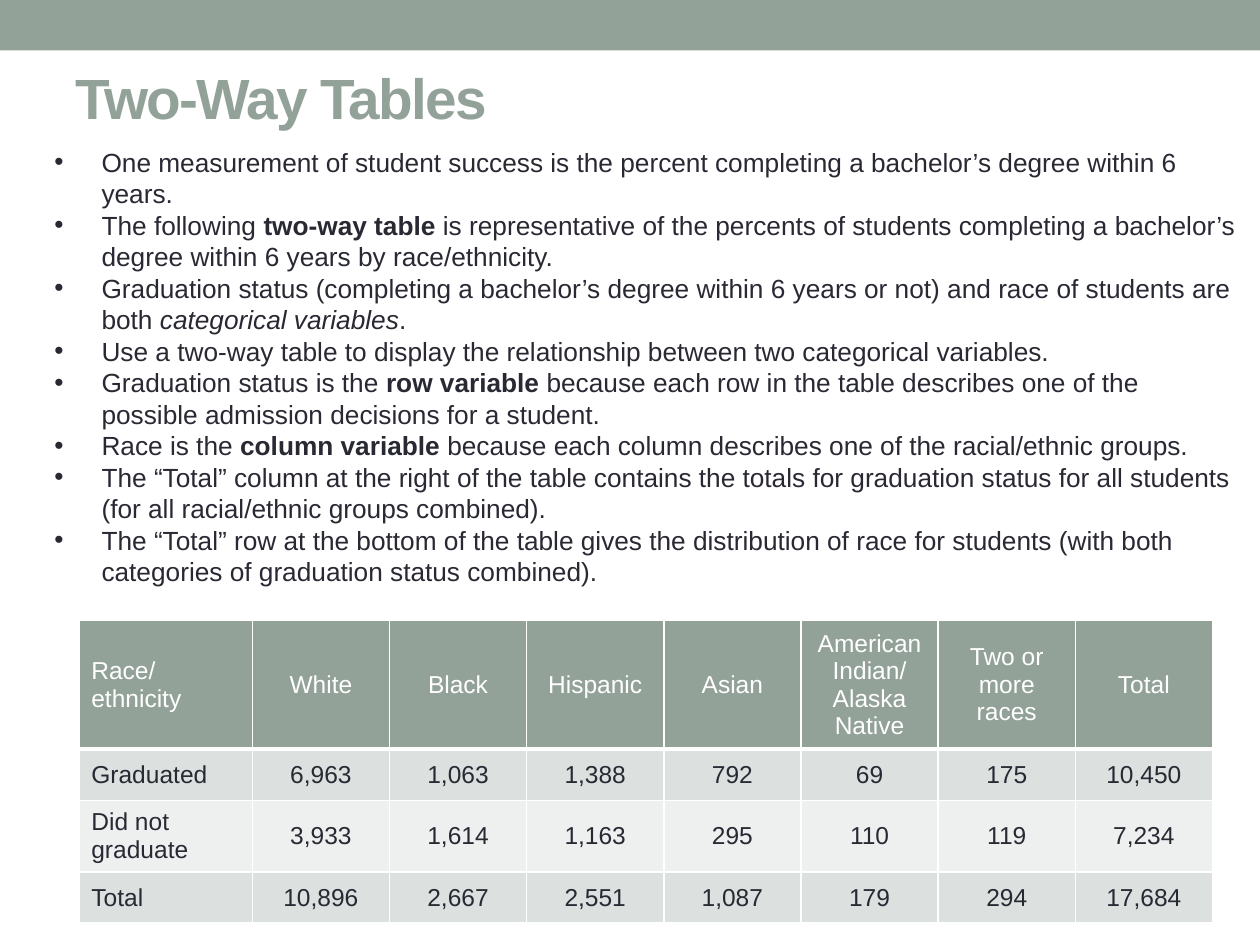
from typing import NamedTuple

from lxml import etree
from pptx import Presentation
from pptx.dml.color import RGBColor
from pptx.enum.shapes import MSO_SHAPE
from pptx.enum.text import MSO_ANCHOR, MSO_AUTO_SIZE, PP_ALIGN
from pptx.oxml.ns import qn
from pptx.util import Pt

LEFT, MID = PP_ALIGN.LEFT, PP_ALIGN.CENTER
SAGE, INK, WHITE = "93A299", "292934", "FFFFFF"
DARK, PALE = "DCE0DE", "EEF0EF"


class Point(NamedTuple):
    text: str
    key: str = ""
    rest: str = ""
    bold: bool = True  # the key is bold, or else italic


class Row(NamedTuple):
    cells: list
    high: float
    fill: str
    ink: str = INK
    rule: float = 1  # width of the bottom border


POINTS = [
    Point("One measurement of student success is the percent completing "
          "a bachelor’s degree within 6 years."),
    Point("The following ", "two-way table",
          " is representative of the percents of students completing "
          "a bachelor’s degree within 6 years by race/ethnicity."),
    Point("Graduation status (completing a bachelor’s degree within 6 years "
          "or not) and race of students are both ",
          "categorical variables", ".", bold=False),
    Point("Use a two-way table to display the relationship between "
          "two categorical variables."),
    Point("Graduation status is the ", "row variable ",
          "because each row in the table describes one of the possible "
          "admission decisions for a student."),
    Point("Race is the ", "column variable ",
          "because each column describes one of the racial/ethnic groups."),
    Point("The “Total” column at the right of the table contains the totals "
          "for graduation status for all students (for all racial/ethnic "
          "groups combined)."),
    Point("The “Total” row at the bottom of the table gives the distribution "
          "of race for students (with both categories of graduation status "
          "combined)."),
]

ROWS = [
    Row(["Race/\nethnicity", "White", "Black", "Hispanic", "Asian",
         "American Indian/\nAlaska Native", "Two or more races", "Total"],
        73.5, SAGE, WHITE, 3),
    Row(["Graduated", "6,963", "1,063", "1,388", "792", "69", "175",
         "10,450"], 29.2, DARK),
    Row(["Did not graduate", "3,933", "1,614", "1,163", "295", "110", "119",
         "7,234"], 41, PALE),
    Row(["Total", "10,896", "2,667", "2,551", "1,087", "179", "294",
         "17,684"], 29.2, DARK),
]


def color(code: str) -> RGBColor:
    return RGBColor.from_string(code)


def write(para, text: str, size: float = 15, ink: str = INK,
          bold: bool = False, italic: bool = False, align=LEFT):
    """Add one formatted run to a paragraph."""
    para.alignment = align
    run = para.add_run()
    run.text = text
    font = run.font
    font.name, font.size = "Arial", Pt(size)
    font.bold, font.italic = bold, italic
    font.color.rgb = color(ink)
    return run


def place(shape, left: float, top: float, wide: float, high: float) -> None:
    shape.left, shape.top = Pt(left), Pt(top)
    shape.width, shape.height = Pt(wide), Pt(high)


def lines(frame, count: int) -> list:
    """Return the first paragraph and as many new ones as needed."""
    return [frame.paragraphs[0]] + [frame.add_paragraph()
                                    for _ in range(count - 1)]


def list_points(frame, points: list) -> None:
    for para, point in zip(lines(frame, len(points)), points):
        props = para._p.get_or_add_pPr()
        props.set("marL", str(Pt(27)))
        props.set("indent", str(-Pt(27)))
        para.space_before = Pt(0)
        para.line_spacing = Pt(18)
        write(para, point.text)
        if point.key:
            write(para, point.key, bold=point.bold, italic=not point.bold)
            write(para, point.rest)


def edge(cell, rule: float) -> None:
    """Draw white borders, with the bottom one as wide as rule."""
    props = cell._tc.get_or_add_tcPr()
    for spot, side in enumerate(("lnL", "lnR", "lnT", "lnB")):
        width = rule if side == "lnB" else 1
        line = etree.Element(qn(f"a:{side}"), w=str(Pt(width)))
        fill = etree.SubElement(line, qn("a:solidFill"))
        etree.SubElement(fill, qn("a:srgbClr"), val=WHITE)
        props.insert(spot, line)


def fill_cell(cell, text: str, row: Row, align) -> None:
    cell.fill.solid()
    cell.fill.fore_color.rgb = color(row.fill)
    cell.vertical_anchor = MSO_ANCHOR.MIDDLE
    edge(cell, row.rule)
    parts = text.split("\n")
    for para, part in zip(lines(cell.text_frame, len(parts)), parts):
        write(para, part, size=14, ink=row.ink, align=align)


def main() -> None:
    deck = Presentation()
    deck.slide_width, deck.slide_height = Pt(720), Pt(540)
    slide = deck.slides.add_slide(deck.slide_layouts[1])
    title, body = slide.placeholders

    # Top band
    band = slide.shapes.add_shape(MSO_SHAPE.RECTANGLE, 0, 0,
                                  Pt(720), Pt(28.8))
    band.shadow.inherit = False
    band.fill.solid()
    band.fill.fore_color.rgb = color(SAGE)
    band.line.fill.background()

    # Title, held in the upper half of its box
    place(title, 36, 28.8, 648, 90)
    frame = title.text_frame
    frame.auto_size = MSO_AUTO_SIZE.NONE
    frame.vertical_anchor = MSO_ANCHOR.MIDDLE
    frame.margin_bottom = Pt(40)
    run = write(frame.paragraphs[0], "Two-Way Tables", size=32.4, ink=SAGE,
                bold=True)
    run.font._element.set("spc", "-100")

    # Bullet list
    place(body, 23.8, 79.9, 690, 262)
    body.text_frame.auto_size = MSO_AUTO_SIZE.NONE
    list_points(body.text_frame, POINTS)

    # Two-way table
    count = len(ROWS[0].cells)
    high = sum(row.high for row in ROWS)
    table = slide.shapes.add_table(len(ROWS), count, Pt(45), Pt(354.6),
                                   Pt(648), Pt(high)).table
    first = 99.2
    for spot, column in enumerate(table.columns):
        column.width = Pt((648 - first) / (count - 1) if spot else first)
    for line, row in zip(table.rows, ROWS):
        line.height = Pt(row.high)
        for spot, text in enumerate(row.cells):
            fill_cell(line.cells[spot], text, row, MID if spot else LEFT)

    deck.save("out.pptx")


if __name__ == "__main__":
    main()
